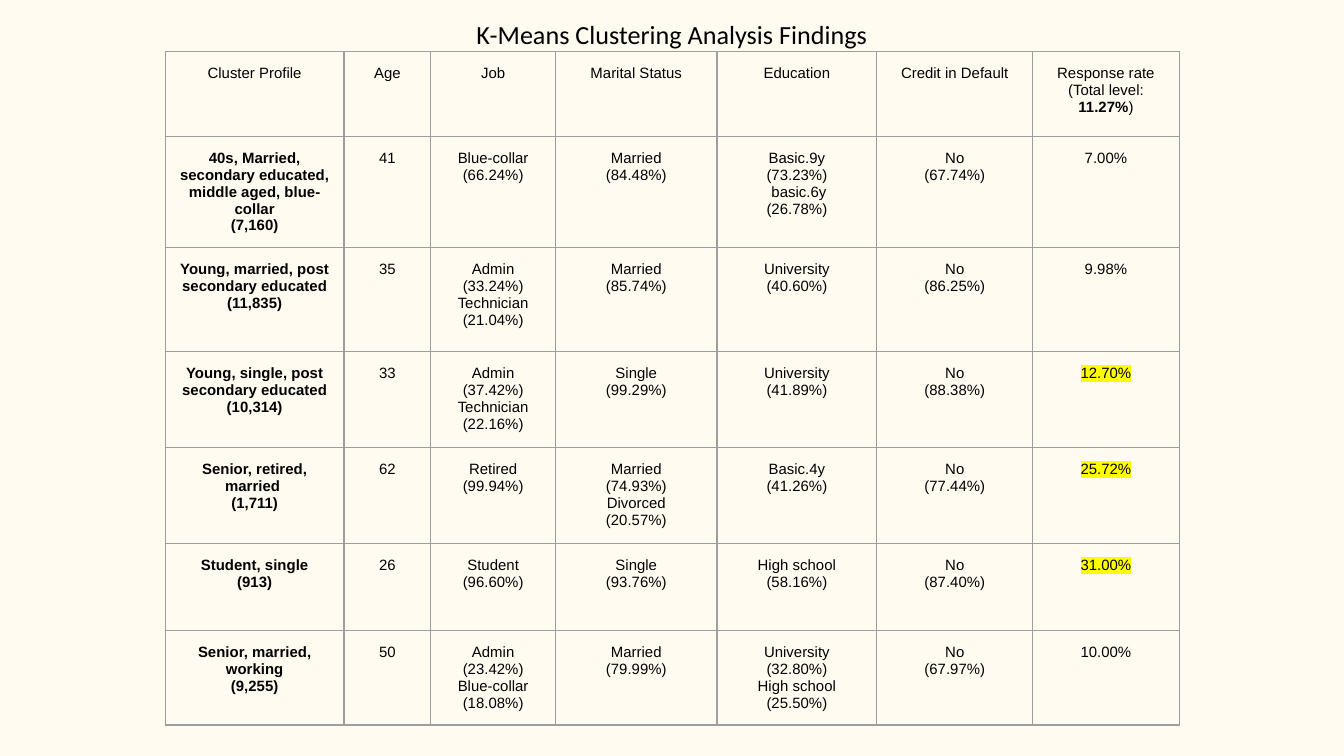
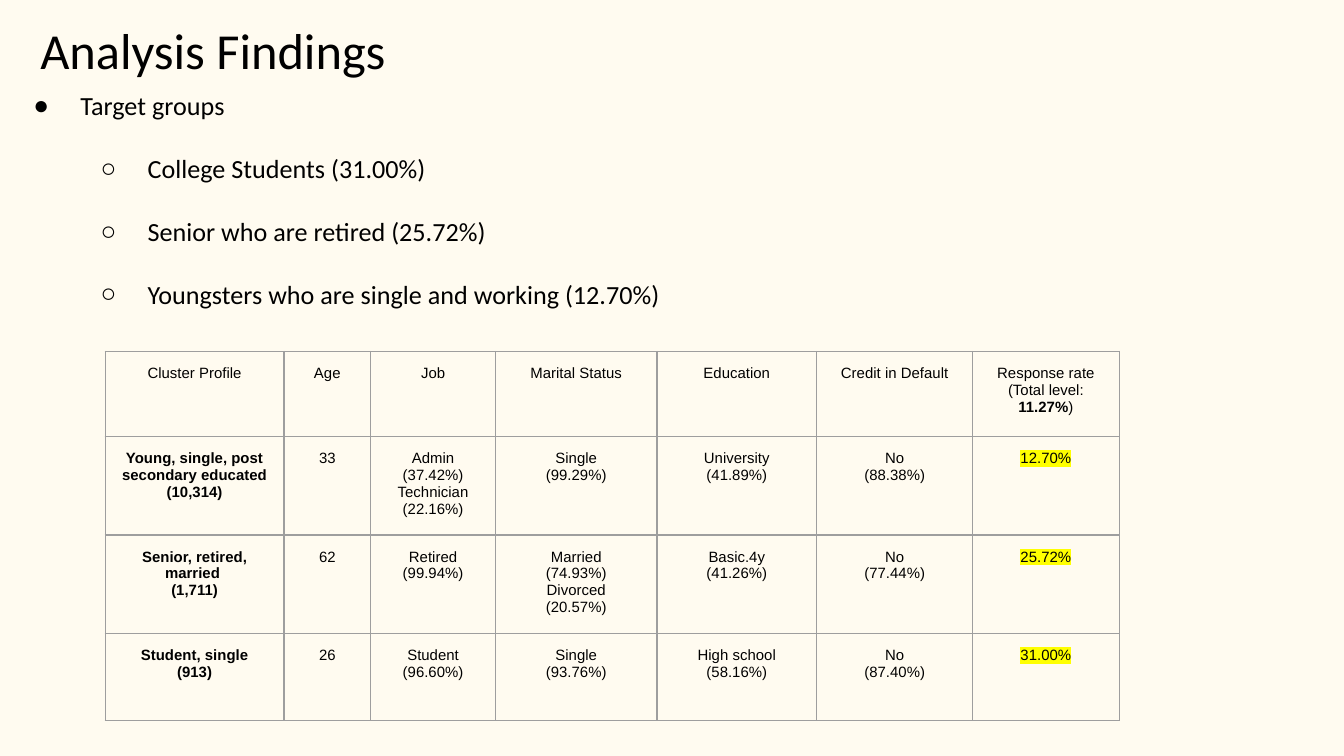
"""Build two slides on the findings of a K-Means cluster study."""
from typing import NamedTuple

from lxml import etree
from pptx import Presentation
from pptx import util as u
from pptx.dml import color
from pptx.enum import text
from pptx.oxml import ns

WIDE = u.Inches(10)
HIGH = WIDE * 9 // 16
CREAM, BLACK, GREY, YELLOW = "FFFBF0", "000000", "9E9E9E", "FFFF00"
PAD = u.Inches(0.1)
LEFT, MID = text.PP_ALIGN.LEFT, text.PP_ALIGN.CENTER
COLS = (13.3, 6.45, 9.3, 12, 11.9, 11.6, 10.9)


class Box(NamedTuple):
    """A place in percent of the slide's width and height."""
    left: float
    top: float
    width: float
    height: float


class Row(NamedTuple):
    """A table row: height in percent of the slide, cells, looks."""
    height: float
    cells: tuple[str, ...]
    fill: bool = False
    mark: bool = False


class Point(NamedTuple):
    """A bullet line with its level."""
    words: str
    level: int


HEAD = Row(11.25, ("Cluster Profile", "Age", "Job", "Marital Status", "Education",
                   "Credit in Default", "Response rate\n(Total level: *11.27%*)"))
FORTIES = Row(12.7, ("*40s, Married, secondary educated, middle aged, blue-collar*\n*(7,160)*",
                     "41", "Blue-collar\n(66.24%)", "Married\n(84.48%)",
                     "Basic.9y\n(73.23%)\n basic.6y\n(26.78%)", "No\n(67.74%)", "7.00%"))
YOUNG = Row(13.8, ("*Young, married, post secondary educated*\n*(11,835)*", "35",
                   "Admin\n(33.24%)\nTechnician\n(21.04%)", "Married\n(85.74%)",
                   "University\n(40.60%)", "No\n(86.25%)", "9.98%"))
TARGETS = (
    Row(12.7, ("*Young, single, post secondary educated*\n*(10,314)*", "33",
               "Admin\n(37.42%)\nTechnician\n(22.16%)", "Single\n(99.29%)",
               "University\n(41.89%)", "No\n(88.38%)", "12.70%"), fill=True, mark=True),
    Row(12.7, ("*Senior, retired, married *\n*(1,711)*", "62", "Retired\n(99.94%)",
               "Married\n(74.93%)\nDivorced\n(20.57%)", "Basic.4y\n(41.26%)",
               "No\n(77.44%)", "25.72%"), mark=True),
    Row(11.5, ("*Student, single*\n*(913)*", "26", "Student\n(96.60%)",
               "Single\n(93.76%)", "High school\n(58.16%)", "No\n(87.40%)",
               "31.00%"), mark=True),
)
SENIOR = Row(8.4, ("*Senior, married, working*\n*(9,255)*", "50",
                   "Admin\n(23.42%)\nBlue-collar\n(18.08%)", "Married\n(79.99%)",
                   "University\n(32.80%)\nHigh school\n(25.50%)", "No\n(67.97%)",
                   "10.00%"), fill=True)
POINTS = (
    Point("Target groups", 0),
    Point("College Students (31.00%)", 1),
    Point("Senior who are retired (25.72%)", 1),
    Point("Youngsters who are single and working (12.70%)", 1),
)


def across(share: float) -> int:
    """Turn a percent of the slide's width into a length."""
    return round(WIDE * share / 100)


def down(share: float) -> int:
    """Turn a percent of the slide's height into a length."""
    return round(HIGH * share / 100)


def place(box: Box) -> tuple[int, int, int, int]:
    """Turn a box into left, top, width and height."""
    return across(box.left), down(box.top), across(box.width), down(box.height)


def paint(code: str) -> color.RGBColor:
    """Turn a hex string into a colour."""
    return color.RGBColor.from_string(code)


def add(parent, tag: str, **attrs: str):
    """Append a drawing element and return it."""
    return etree.SubElement(parent, ns.qn(tag), attrs)


def write(par, words: str, *, size: float, font: str = "Calibri",
          align=LEFT, mark: str = "") -> None:
    """Fill a paragraph, with bold between stars."""
    par.alignment = align
    for spot, part in enumerate(words.split("*")):
        if not part:
            continue
        run = par.add_run()
        run.text = part
        run.font.size, run.font.name = u.Pt(size), font
        run.font.bold = spot % 2 == 1
        run.font.color.rgb = paint(BLACK)
        if mark:
            glow = etree.Element(ns.qn("a:highlight"))
            add(glow, "a:srgbClr", val=mark)
            run.font._element.find(ns.qn("a:solidFill")).addnext(glow)


def inset(frame) -> None:
    """Give a text frame or cell equal margins and a top anchor."""
    frame.margin_left = frame.margin_right = PAD
    frame.margin_top = frame.margin_bottom = PAD
    frame.vertical_anchor = text.MSO_ANCHOR.TOP


def edge(cell) -> None:
    """Draw the four borders of a cell."""
    props = cell._tc.get_or_add_tcPr()
    for spot, side in enumerate("LRTB"):
        line = etree.Element(ns.qn(f"a:ln{side}"), w=str(u.Pt(0.75)))
        add(add(line, "a:solidFill"), "a:srgbClr", val=GREY)
        props.insert(spot, line)


def fill_cell(cell, words: str, row: Row, mark: str) -> None:
    """Write and format one table cell."""
    inset(cell)
    if row.fill:
        cell.fill.solid()
        cell.fill.fore_color.rgb = paint(CREAM)
    else:
        cell.fill.background()
    edge(cell)
    frame = cell.text_frame
    for spot, line in enumerate(words.split("\n")):
        par = frame.add_paragraph() if spot else frame.paragraphs[0]
        write(par, line, size=8, font="Arial", align=MID, mark=mark)


def add_grid(slide, left: float, top: float, rows: tuple[Row, ...]) -> None:
    """Add a table of cluster rows."""
    box = Box(left, top, sum(COLS), sum(row.height for row in rows))
    table = slide.shapes.add_table(len(rows), len(COLS), *place(box)).table
    table.first_row = table.horz_banding = False
    for col, width in zip(table.columns, COLS):
        col.width = across(width)
    for down_at, row in enumerate(rows):
        table.rows[down_at].height = down(row.height)
        for at, words in enumerate(row.cells):
            last = at == len(COLS) - 1
            fill_cell(table.cell(down_at, at), words, row,
                      YELLOW if row.mark and last else "")


def add_slide(deck, title: str, left: float, size: float, align):
    """Add a slide with its title placed and styled."""
    slide = deck.slides.add_slide(deck.slide_layouts[5])
    head = slide.shapes.title
    head.left, head.top, head.width, head.height = place(Box(left, 0.7, 93.2, 11.2))
    frame = head.text_frame
    inset(frame)
    frame.auto_size = text.MSO_AUTO_SIZE.NONE
    write(frame.paragraphs[0], title, size=size, align=align)
    return slide


def add_points(slide, box: Box, points: tuple[Point, ...]) -> None:
    """Add the bullet list."""
    frame = slide.shapes.add_textbox(*place(box)).text_frame
    frame.word_wrap = True
    inset(frame)
    for spot, point in enumerate(points):
        par = frame.add_paragraph() if spot else frame.paragraphs[0]
        par.level = point.level
        if spot:
            par.space_before = u.Pt(16.8)
        props = par._p.get_or_add_pPr()
        props.set("marL", str(u.Inches(0.5 * (point.level + 1))))
        props.set("indent", str(u.Inches(-0.35)))
        add(add(props, "a:buClr"), "a:srgbClr", val=BLACK)
        add(props, "a:buFont", typeface="Arial")
        add(props, "a:buChar", char="●○"[point.level])
        write(par, point.words, size=14)


def main() -> None:
    """Build and save the deck."""
    deck = Presentation()
    deck.slide_width, deck.slide_height = WIDE, HIGH
    back = deck.slide_master.background.fill
    back.solid()
    back.fore_color.rgb = paint(CREAM)

    full = add_slide(deck, "K-Means Clustering Analysis Findings", 3.4, 14, MID)
    add_grid(full, 12.3, 6.8, (HEAD, FORTIES, YOUNG, *TARGETS, SENIOR))

    brief = add_slide(deck, "Analysis Findings", 2, 27, LEFT)
    add_points(brief, Box(0, 10.1, 75.3, 32.9), POINTS)
    add_grid(brief, 7.83, 46.5, (HEAD,))
    add_grid(brief, 7.83, 57.75, TARGETS)

    deck.save("out.pptx")


if __name__ == "__main__":
    main()
